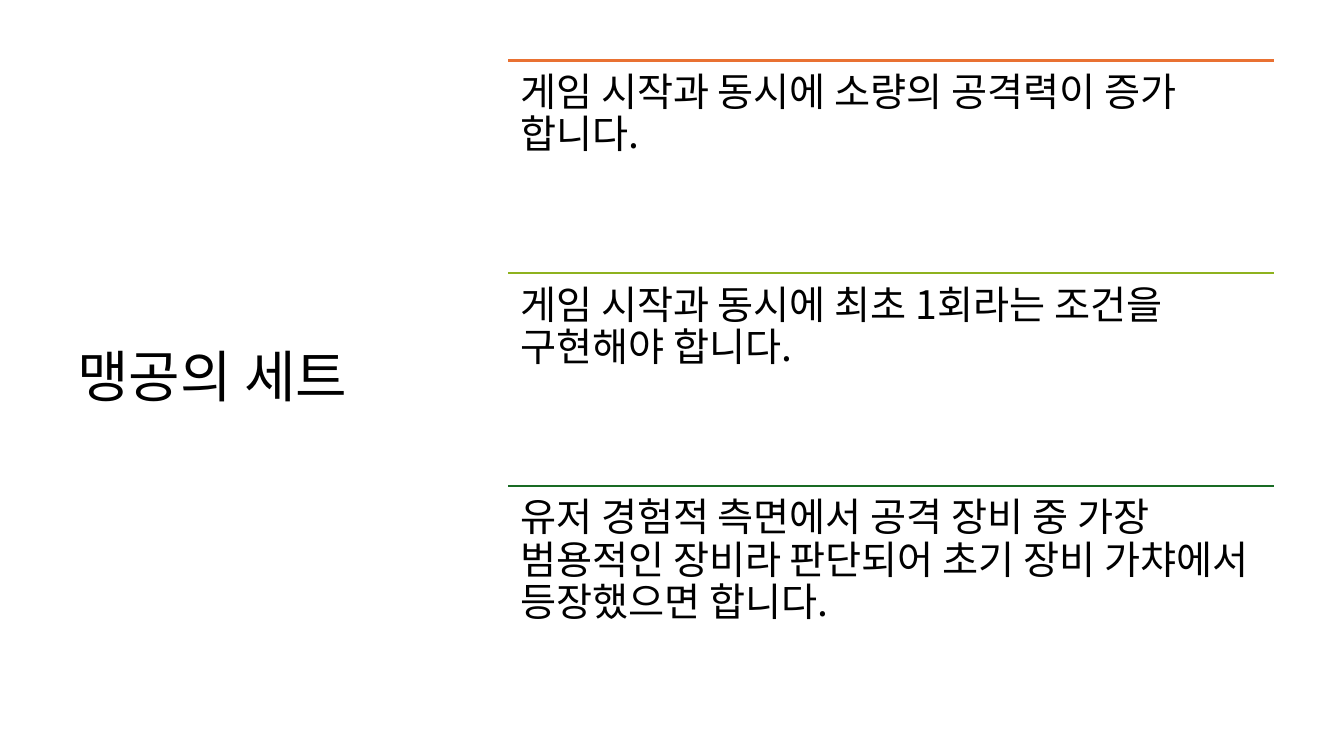
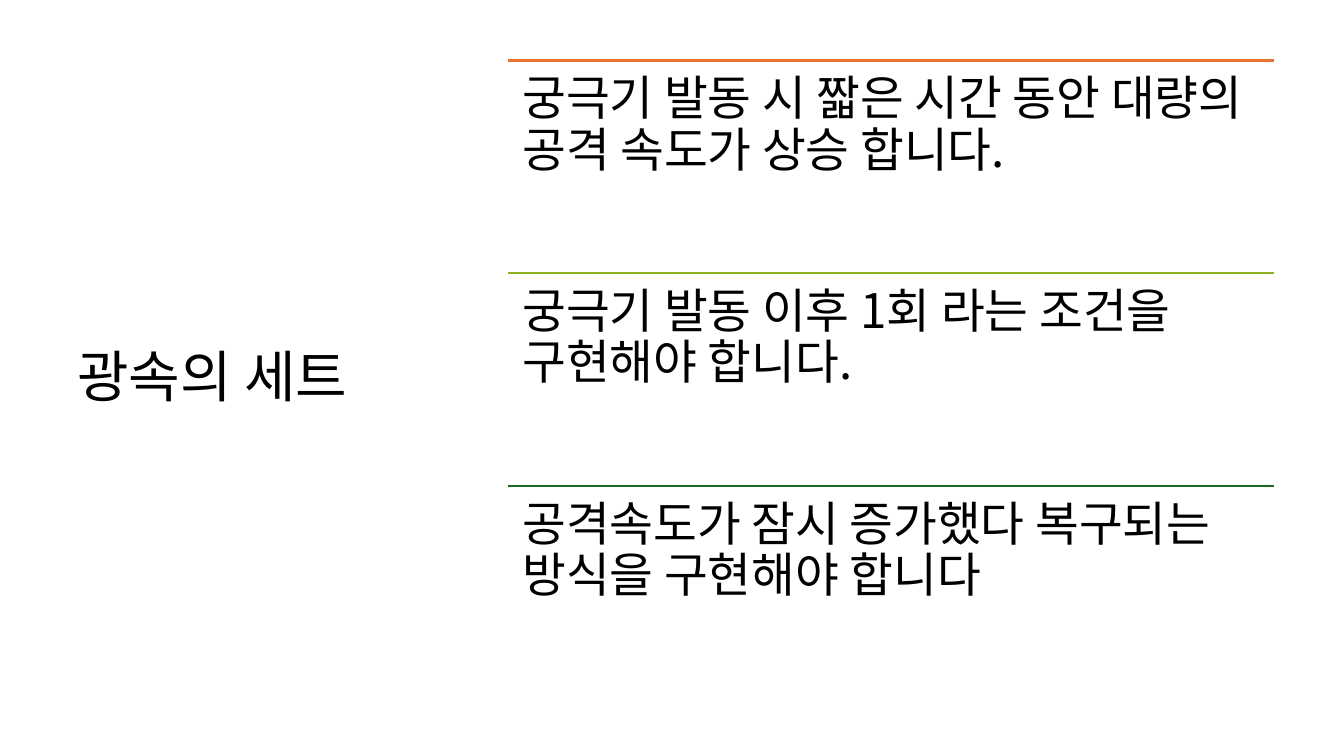
from lxml import etree
from pptx import Presentation
from pptx.dml.color import RGBColor
from pptx.enum.shapes import MSO_CONNECTOR
from pptx.enum.text import MSO_ANCHOR
from pptx.oxml.ns import qn
from pptx.util import Inches, Pt

STRAIGHT = MSO_CONNECTOR.STRAIGHT
TOP, MIDDLE = MSO_ANCHOR.TOP, MSO_ANCHOR.MIDDLE
FONT = "Noto Sans CJK KR"
TEXT_COLOR = "000000"
RULE_COLORS = ("E97132", "8EB21E", "196B24")
BLANK_LAYOUT = 6
TITLE_BOX = (0.67, 0.6, 3.82, 6.33)
POINTS_BOX = (5.04, 0.6, 7.6, 6.33)

SETS = [
    ("맹공의 세트", 28, 0.12, (
        "게임 시작과 동시에 소량의 공격력이 증가 합니다.",
        "게임 시작과 동시에 최초 1회라는 조건을 구현해야 합니다.",
        "유저 경험적 측면에서 공격 장비 중 가장 범용적인 장비라 판단되어 "
        "초기 장비 가챠에서 등장했으면 합니다.",
    )),
    ("광속의 세트", 34, 0.14, (
        "궁극기 발동 시 짧은 시간 동안 대량의 공격 속도가 상승 합니다.",
        "궁극기 발동 이후 1회 라는 조건을 구현해야 합니다.",
        "공격속도가 잠시 증가했다 복구되는 방식을 구현해야 합니다",
    )),
]


def rgb(hex_color):
    """Return the colour for a hex string."""
    return RGBColor.from_string(hex_color)


def add_text(slide, box, text, size, anchor, insets):
    """Place one wrapped paragraph in a box with (horizontal, vertical) insets."""
    frame = slide.shapes.add_textbox(*map(Inches, box)).text_frame
    frame.word_wrap = True
    frame.vertical_anchor = anchor
    frame.margin_left = frame.margin_right = Inches(insets[0])
    frame.margin_top = frame.margin_bottom = Inches(insets[1])
    paragraph = frame.paragraphs[0]
    paragraph.text = text
    paragraph.line_spacing = 0.9
    font = paragraph.font
    font.size = Pt(size)
    font.name = FONT
    font.color.rgb = rgb(TEXT_COLOR)
    defaults = paragraph._p.pPr.find(qn("a:defRPr"))
    etree.SubElement(defaults, qn("a:ea"), typeface=FONT)


def add_rule(slide, left, top, width, color):
    """Draw a horizontal rule."""
    rule = slide.shapes.add_connector(
        STRAIGHT, Inches(left), Inches(top), Inches(left + width), Inches(top))
    rule.line.color.rgb = rgb(color)
    rule.line.width = Pt(1.5)
    etree.SubElement(rule._element.spPr, qn("a:effectLst"))


def add_points(slide, box, points, size, inset):
    """Stack points in equal rows, each under a coloured rule."""
    left, top, width, height = box
    row_height = height / len(points)
    for row, (point, color) in enumerate(zip(points, RULE_COLORS)):
        row_top = top + row * row_height
        add_rule(slide, left, row_top, width, color)
        add_text(slide, (left, row_top, width, row_height), point, size, TOP, (inset, inset))


def add_set_slide(deck, title, size, inset, points):
    """Add a slide with the set name on the left and its points on the right."""
    slide = deck.slides.add_slide(deck.slide_layouts[BLANK_LAYOUT])
    add_text(slide, TITLE_BOX, title, 40, MIDDLE, (0.1, 0.05))
    add_points(slide, POINTS_BOX, points, size, inset)


def main():
    """Build and save the deck."""
    deck = Presentation()
    deck.slide_width, deck.slide_height = Inches(13.33), Inches(7.5)
    for equipment_set in SETS:
        add_set_slide(deck, *equipment_set)
    deck.save("out.pptx")


if __name__ == "__main__":
    main()
